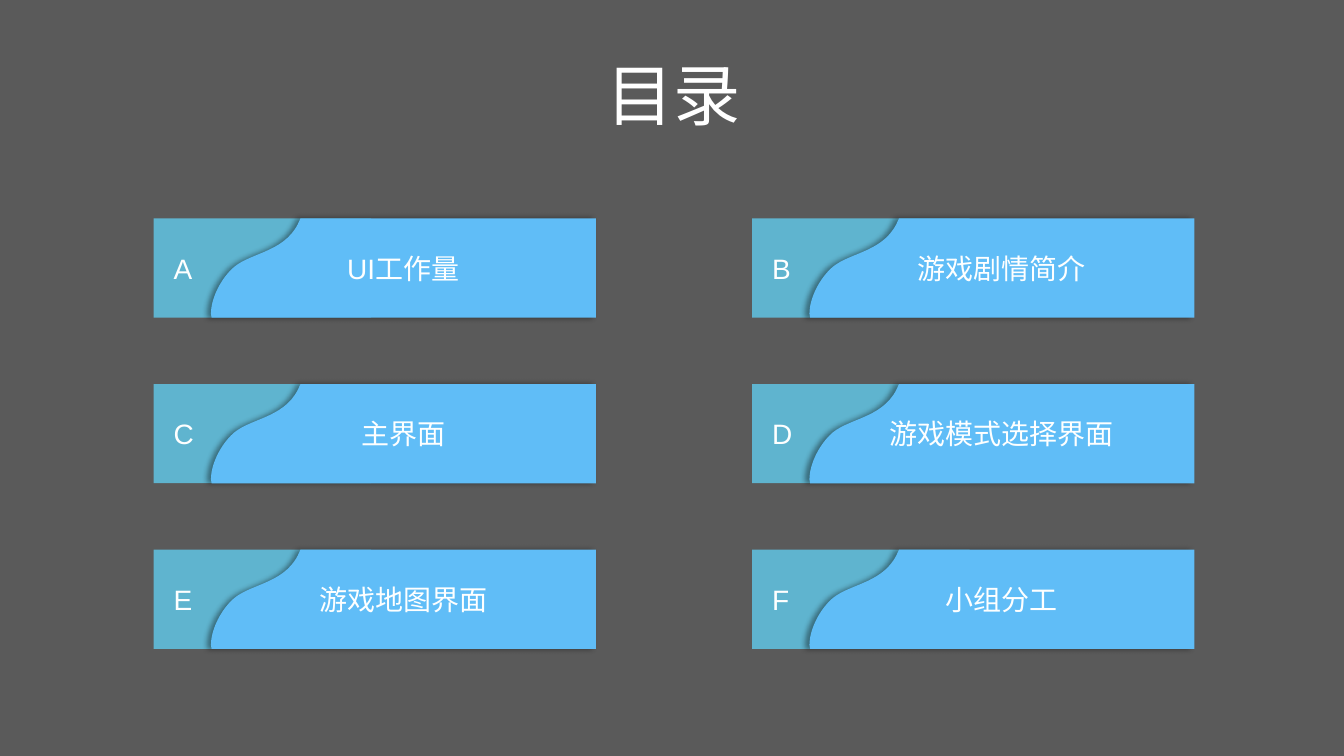
from dataclasses import dataclass

from lxml import etree
from pptx import Presentation
from pptx import util as u
from pptx.dml import color
from pptx.enum import shapes, text
from pptx.oxml import ns


@dataclass(frozen=True)
class Theme:
    background: str = "5A5A5A"
    title: str = "FFFFFF"
    label: str = "FEFFFF"
    tab: str = "5FB4CF"
    panel: str = "60BDF7"
    shadow: str = "000000"
    font: str = "Arial"
    title_size: int = 48
    label_size: int = 20


THEME = Theme()
TOPICS = ["UI工作量", "游戏剧情简介", "主界面", "游戏模式选择界面", "游戏地图界面", "小组分工"]
WAVE_START = (41, 68)
WAVE = [
    ((41, 58.3), (46.8, 45.4), (55.4, 36.7)),
    ((67, 24.5), (92.2, 25.2), (103, 4.3)),
]


def paint(fill, hex_color):
    fill.solid()
    fill.fore_color.rgb = color.RGBColor.from_string(hex_color)


def write(shape, words, size, hex_color, align):
    frame = shape.text_frame
    frame.text = words
    frame.word_wrap = True
    frame.auto_size = text.MSO_AUTO_SIZE.NONE
    frame.vertical_anchor = text.MSO_ANCHOR.MIDDLE
    paragraph = frame.paragraphs[0]
    paragraph.alignment = align
    paragraph.font.name = THEME.font
    paragraph.font.size = u.Pt(size)
    paragraph.font.color.rgb = color.RGBColor.from_string(hex_color)


def bend_wave(panel, left, top):
    segments = list(panel.element.spPr.iter(ns.qn("a:lnTo")))[-len(WAVE):]
    for segment, (first, second, _) in zip(segments, WAVE):
        segment.tag = ns.qn("a:cubicBezTo")
        for position, (x, y) in enumerate((first, second)):
            handle = etree.Element(
                ns.qn("a:pt"), x=str(u.Pt(left + x) - panel.left), y=str(u.Pt(top + y) - panel.top))
            segment.insert(position, handle)


def cast_shadow(shape):
    effects = etree.SubElement(shape.element.spPr, ns.qn("a:effectLst"))
    shadow = etree.SubElement(
        effects, ns.qn("a:outerShdw"), blurRad=str(u.Pt(4)), dist=str(u.Pt(3)),
        dir="10800000", algn="r", rotWithShape="0")
    tint = etree.SubElement(shadow, ns.qn("a:srgbClr"), val=THEME.shadow)
    etree.SubElement(tint, ns.qn("a:alpha"), val="40000")


def add_title(slide, left, top, width, height):
    title = slide.shapes.title
    title.left, title.top = u.Pt(left), u.Pt(top)
    title.width, title.height = u.Pt(width), u.Pt(height)
    write(title, "目录", THEME.title_size, THEME.title, text.PP_ALIGN.CENTER)


def add_card(slide, letter, topic, left, top, width, height):
    card = slide.shapes.add_group_shape().shapes

    tab = card.add_shape(shapes.MSO_SHAPE.RECTANGLE, u.Pt(left), u.Pt(top), u.Pt(155.5), u.Pt(height))
    paint(tab.fill, THEME.tab)
    tab.line.fill.background()
    tab.shadow.inherit = False
    tab.text_frame.margin_left = u.Pt(14.4)
    write(tab, letter, THEME.label_size, THEME.label, text.PP_ALIGN.LEFT)

    outline = [(105, 0), (width, 0), (width, height), (41.5, height), WAVE_START]
    outline += [curve[-1] for curve in WAVE]
    corners = [(u.Pt(left + x), u.Pt(top + y)) for x, y in outline]
    builder = card.build_freeform(*corners[0])
    builder.add_line_segments(corners[1:], close=False)
    builder.add_line_segments([], close=True)
    panel = builder.convert_to_shape()
    bend_wave(panel, left, top)
    paint(panel.fill, THEME.panel)
    panel.line.fill.background()
    cast_shadow(panel)
    write(panel, topic, THEME.label_size, THEME.label, text.PP_ALIGN.CENTER)


def add_contents(slide, left, top, width, height, columns=2, rows=3):
    card_width, card_height = 315.9, 70.9
    column_step = (width - card_width) / (columns - 1)
    row_step = (height - card_height) / (rows - 1)
    for index, (letter, topic) in enumerate(zip("ABCDEF", TOPICS)):
        row, column = divmod(index, columns)
        add_card(slide, letter, topic, left + column * column_step,
                 top + row * row_step, card_width, card_height)


def main():
    deck = Presentation()
    deck.slide_width, deck.slide_height = u.Pt(960), u.Pt(540)
    slide = deck.slides.add_slide(deck.slide_layouts[5])
    paint(slide.background.fill, THEME.background)
    add_title(slide, 386.4, 31, 190, 72)
    add_contents(slide, 109.7, 156, 743.4, 307.5)
    deck.save("out.pptx")


if __name__ == "__main__":
    main()
